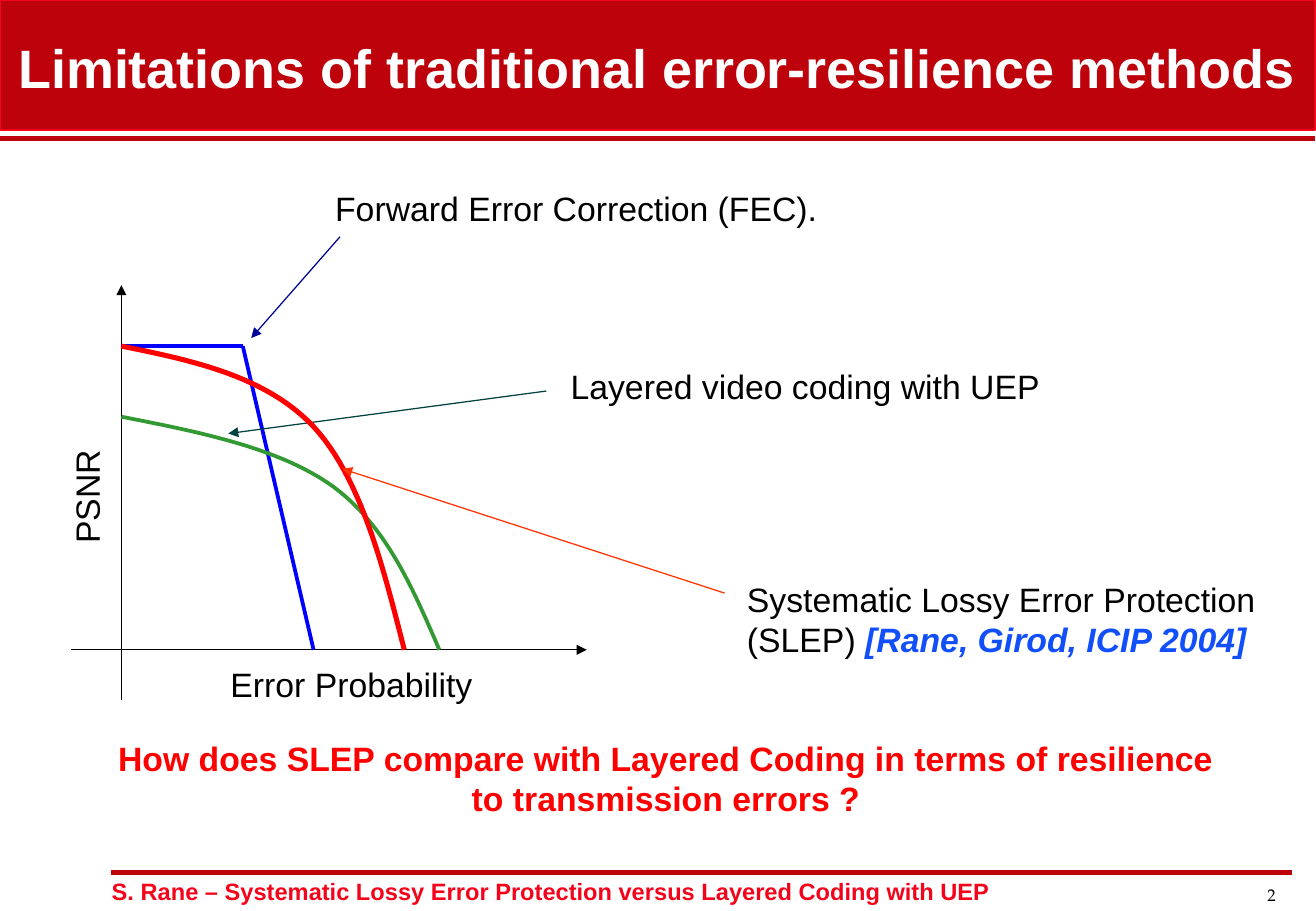
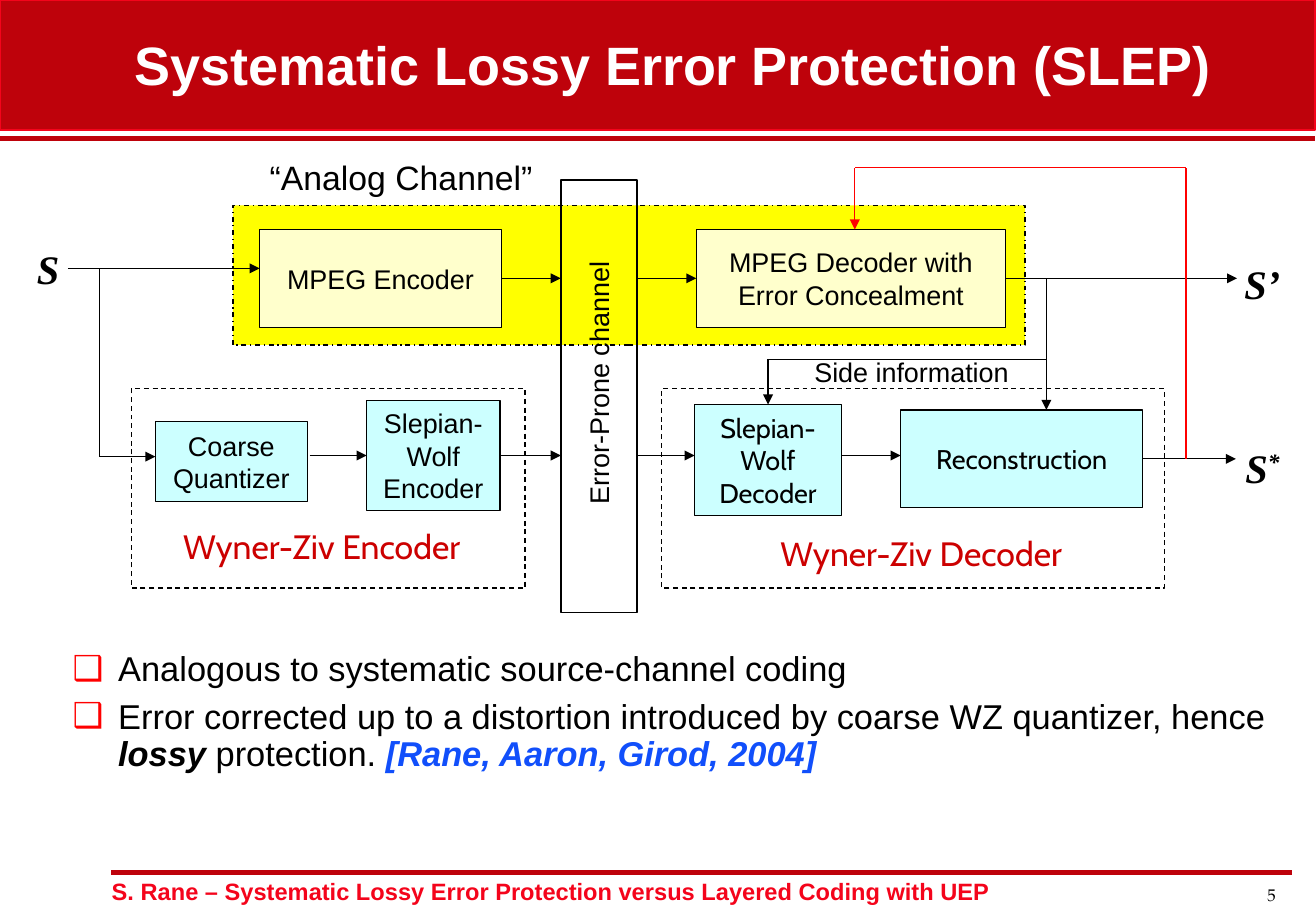
from lxml import etree
from pptx import Presentation
from pptx.dml.color import RGBColor
from pptx.enum import dml, shapes, text
from pptx.oxml.ns import qn
from pptx.util import Pt

COLORS = {
    "band": "BE020B", "bright": "F4041B", "white": "FFFFFF", "black": "000000",
    "red": "FF0000", "blue": "0000FF", "navy": "020296", "green": "339933",
    "teal": "004240", "orange": "FF3300", "cite": "114FFB", "label": "CC0000",
    "yellow": "FFFF00", "cream": "FFFFCC", "cyan": "CCFFFF",
}
WIDTH, HEIGHT = 780.48, 540
FOOTER = "S. Rane – Systematic Lossy Error Protection versus Layered Coding with UEP"
LEFT, CENTER, RIGHT = text.PP_ALIGN.LEFT, text.PP_ALIGN.CENTER, text.PP_ALIGN.RIGHT
TOP, LEFT_SIDE, RIGHT_SIDE = 0, 1, 3
CITE = dict(color="cite", bold=True, italic=True)


def rgb(name):
    return RGBColor.from_string(COLORS[name])


def format_run(r, size=20, font="Arial", color="black", bold=False, italic=False,
               baseline=None):
    f = r.font
    f.size, f.name, f.bold, f.italic = Pt(size), font, bold, italic
    f.color.rgb = rgb(color)
    if baseline:
        r._r.get_or_add_rPr().set("baseline", str(baseline * 1000))


def add_bullet(p, char, color, indent):
    pPr = p._p.get_or_add_pPr()
    pPr.set("marL", str(Pt(indent)))
    pPr.set("indent", str(-Pt(indent)))
    clr = etree.SubElement(pPr, qn("a:buClr"))
    etree.SubElement(clr, qn("a:srgbClr")).set("val", COLORS[color])
    etree.SubElement(pPr, qn("a:buFont")).set("typeface", "Arial")
    etree.SubElement(pPr, qn("a:buChar")).set("char", char)


def write(tf, paragraphs, align=LEFT, bullet=None, spacing=None, before=0, **fmt):
    """Fill a frame; a paragraph is a string or a list of (text, overrides) runs."""
    if isinstance(paragraphs, str):
        paragraphs = [paragraphs]
    for i, runs in enumerate(paragraphs):
        p = tf.add_paragraph() if i else tf.paragraphs[0]
        p.alignment = align
        if spacing:
            p.line_spacing = spacing
        if i and before:
            p.space_before = Pt(before)
        if bullet:
            add_bullet(p, bullet, "red", 27)
        for words, changes in [(runs, {})] if isinstance(runs, str) else runs:
            r = p.add_run()
            r.text = words
            format_run(r, **{**fmt, **changes})


def bezier(p0, p1, p2, p3, steps=24):
    """Points along a cubic curve, without its first point."""
    for i in range(1, steps + 1):
        t = i / steps
        u = 1 - t
        yield tuple(u**3 * a + 3 * u * u * t * b + 3 * u * t * t * c + t**3 * d
                    for a, b, c, d in zip(p0, p1, p2, p3))


class Deck:
    def __init__(self):
        self.prs = Presentation()
        self.prs.slide_width, self.prs.slide_height = Pt(WIDTH), Pt(HEIGHT)
        self.s = None

    def slide(self, title, number, x, y):
        self.s = self.prs.slides.add_slide(self.prs.slide_layouts[6])
        self.box(0, 0, 780, 77, fill="band", line="bright", width=1)
        self.text(59.2, 516.5, 674, 24, FOOTER, size=14, color="bright", bold=True)
        self.text(735.8, 520.6, 28, 21, number, align=RIGHT, size=10,
                  font="TeX Gyre Pagella")
        self.line((66, 517.2), (766, 517.2), "band", 3)
        self.line((0, 82.2), (780, 82.2), "band", 3)
        self.text(x, y, 762, 46, title, inset=0, align=CENTER, size=32,
                  color="white", bold=True)

    def text(self, x, y, w, h, words, inset=7.2, rotation=0, **fmt):
        sp = self.s.shapes.add_textbox(Pt(x), Pt(y), Pt(w), Pt(h))
        sp.rotation = rotation
        tf = sp.text_frame
        tf.margin_left = tf.margin_right = Pt(inset)
        tf.word_wrap = True
        write(tf, words, **fmt)

    def box(self, x, y, w, h, words=None, fill=None, line="black", width=0.75,
            dash=None, **fmt):
        sp = self.s.shapes.add_shape(shapes.MSO_SHAPE.RECTANGLE,
                                     Pt(x), Pt(y), Pt(w), Pt(h))
        if fill:
            sp.fill.solid()
            sp.fill.fore_color.rgb = rgb(fill)
        else:
            sp.fill.background()
        self.outline(sp, line, width)
        if dash:
            sp.line.dash_style = dash
        if words:
            tf = sp.text_frame
            tf.word_wrap = True
            tf.margin_left = tf.margin_right = Pt(4)
            tf.vertical_anchor = text.MSO_ANCHOR.MIDDLE
            write(tf, words, align=CENTER, size=16, **fmt)
        return sp

    def outline(self, sp, color, width):
        sp.shadow.inherit = False
        sp.line.color.rgb = rgb(color)
        sp.line.width = Pt(width)

    def line(self, start, end, color="black", width=0.75, arrow=False,
             begin=None, finish=None):
        """Straight line; begin and finish are (shape, side) joints."""
        c = self.s.shapes.add_connector(shapes.MSO_CONNECTOR.STRAIGHT,
                                        *(Pt(v) for v in (*start, *end)))
        c.line.color.rgb = rgb(color)
        c.line.width = Pt(width)
        spPr = c._element.spPr
        if arrow:
            etree.SubElement(spPr.find(qn("a:ln")), qn("a:tailEnd")).set(
                "type", "triangle")
        etree.SubElement(spPr, qn("a:effectLst"))
        if begin:
            c.begin_connect(*begin)
        if finish:
            c.end_connect(*finish)

    def arrow(self, start, end, color="black", **joints):
        self.line(start, end, color, arrow=True, **joints)

    def curve(self, points, color, width):
        """Open curve through cubic pieces that share their end points."""
        fb = self.s.shapes.build_freeform(*(Pt(v) for v in points[0]))
        for i in range(0, len(points) - 1, 3):
            fb.add_line_segments([(Pt(x), Pt(y)) for x, y in
                                  bezier(*points[i:i + 4])], close=False)
        sp = fb.convert_to_shape()
        sp.fill.background()
        self.outline(sp, color, width)


def limitations(d):
    d.slide("Limitations of traditional error-resilience methods", "2", 9, 16.8)
    x0, y0, peak = 72, 385.2, 205.2

    d.arrow((x0, 415), (x0, 169))
    d.arrow((42, y0), (348, y0))
    d.text(123.5, 389.8, 170, 31.7, "Error Probability", align=CENTER)
    d.text(11.5, 278.6, 80, 31.7, "PSNR", rotation=270, align=CENTER)

    d.line((x0, peak), (144, peak), "blue", 2.25)
    d.line((144, peak), (186, y0), "blue", 2.25)
    d.curve([(x0, 247), (119.5, 256.3), (166.3, 265.7), (198, 288.7),
             (229, 311.8), (244.8, 348.5), (260.6, y0)], "green", 2.25)
    d.arrow((324, 231.8), (135.4, 257), "teal")
    d.arrow((201.6, 140.4), (149, 200.4), "navy")
    d.curve([(x0, peak), (115.2, 213.8), (157.7, 223.2), (185.8, 252.7),
             (213.8, 283), (226.8, 334), (239.8, y0)], "red", 3)
    d.arrow((429.8, 351.6), (203, 277.9), "orange")

    slep = ["Systematic Lossy Error Protection",
            [("(SLEP) ", {}), ("[Rane, Girod, ICIP 2004]", CITE)]]
    for x, y, w, h, words in (
            (198.8, 108, 310, 31.7, "Forward Error Correction (FEC)."),
            (338.4, 213.4, 300, 31.7, "Layered video coding with UEP"),
            (443, 339.4, 320, 55.4, slep)):
        d.text(x, y, w, h, words, inset=0)
    d.text(34, 433.7, 722, 55.4,
           ["How does SLEP compare with Layered Coding in terms of resilience",
            "to transmission errors ?"],
           inset=0, align=CENTER, color="red", bold=True)


def slep_system(d):
    d.slide("Systematic Lossy Error Protection (SLEP)", "5", 18.4, 15)
    upper, lower, output = 165, 270, 272
    channel_left, channel_right = 332.6, 377.8

    d.box(138.2, 121.7, 469.8, 82.8, fill="yellow",
          dash=dml.MSO_LINE.DASH_DOT)
    d.text(152.9, 89.3, 170, 31.7, "“Analog Channel”", inset=0, align=CENTER)
    for x, y, w, words in ((0, 141, 57, "S"), (717, 150.2, 63.4, "S’"),
                           (717, 258.8, 63.4,
                            [[("S", {}), ("*", dict(baseline=30))]])):
        d.text(x, y, w, 27.4, words, align=CENTER, size=24,
               font="Times New Roman", bold=True, italic=True)

    d.box(channel_left, 106.6, channel_right - channel_left, 256.6, width=1)
    for x, w in ((77.8, 233.6), (392.4, 298.1)):
        d.box(x, 230.4, w, 118.2, dash=dml.MSO_LINE.DASH)
    encoder = d.box(154, 136, 143.3, 58, "MPEG Encoder", fill="cream")
    decoder = d.box(413, 136, 183.4, 58, "MPEG Decoder with Error Concealment",
                    fill="cream")
    d.box(92.2, 249.8, 90, 47.5, "Coarse Quantizer", fill="cyan")
    sw_encoder = d.box(217.4, 237.5, 79.2, 65, "Slepian-Wolf Encoder", fill="cyan")
    sw_decoder = d.box(412, 239.8, 87, 65.8, "Slepian-Wolf Decoder",
                       fill="cyan", font="Cabin")
    rebuild = d.box(534.2, 243, 143.6, 58, "Reconstruction", fill="cyan",
                    font="Cabin")
    d.text(270, 213.8, 170, 26.6, "Error-Prone channel", rotation=270, size=16,
           align=CENTER)
    d.text(101.5, 308, 210, 31.7, "Wyner-Ziv Encoder", font="Cabin",
           color="label")
    d.text(455.8, 312, 210, 31.7, "Wyner-Ziv Decoder", font="Cabin",
           color="label")
    d.text(475.9, 207.4, 145, 26.6, "Side information", size=16)

    # Upper path
    d.arrow((40.3, 159.1), (154, 159.1))
    d.arrow((297.3, upper), (channel_left, upper), begin=(encoder, RIGHT_SIDE))
    d.arrow((channel_right, upper), (413, upper), finish=(decoder, LEFT_SIDE))
    d.arrow((596.4, upper), (733.7, upper), begin=(decoder, RIGHT_SIDE))

    # Lower path
    d.line((59, 159.1), (59, 270.7))
    d.arrow((59, 270.7), (92.2, 270.7))
    d.arrow((183.6, lower), (217.4, lower), finish=(sw_encoder, LEFT_SIDE))
    d.arrow((296.6, lower), (channel_left, lower), begin=(sw_encoder, RIGHT_SIDE))
    d.arrow((channel_right, lower), (412, lower))
    d.arrow((499, lower), (534.2, lower))
    d.arrow((677.8, output), (733, output), begin=(rebuild, RIGHT_SIDE))

    # Side information and feedback
    d.arrow((620.6, upper), (620.6, 243))
    d.line((620.6, 213), (455.5, 213))
    d.arrow((455.5, 213), (455.5, 239.8), finish=(sw_decoder, TOP))
    d.line((703.4, output), (703.4, 99.5), "red")
    d.line((703.4, 99.5), (507, 99.5), "red")
    d.arrow((507, 99.5), (507, 136), "red")

    d.text(36, 383, 723.6, 88.6,
           ["Analogous to systematic source-channel coding",
            [("Error corrected up to a distortion introduced by coarse WZ "
              "quantizer, hence ", {}),
             ("lossy", dict(bold=True, italic=True)),
             (" protection. ", {}),
             ("[Rane, Aaron, Girod, 2004]", CITE)]],
           bullet="❑", spacing=0.9, before=6, size=20.4)


def main():
    d = Deck()
    limitations(d)
    slep_system(d)
    d.prs.save("out.pptx")


if __name__ == "__main__":
    main()
